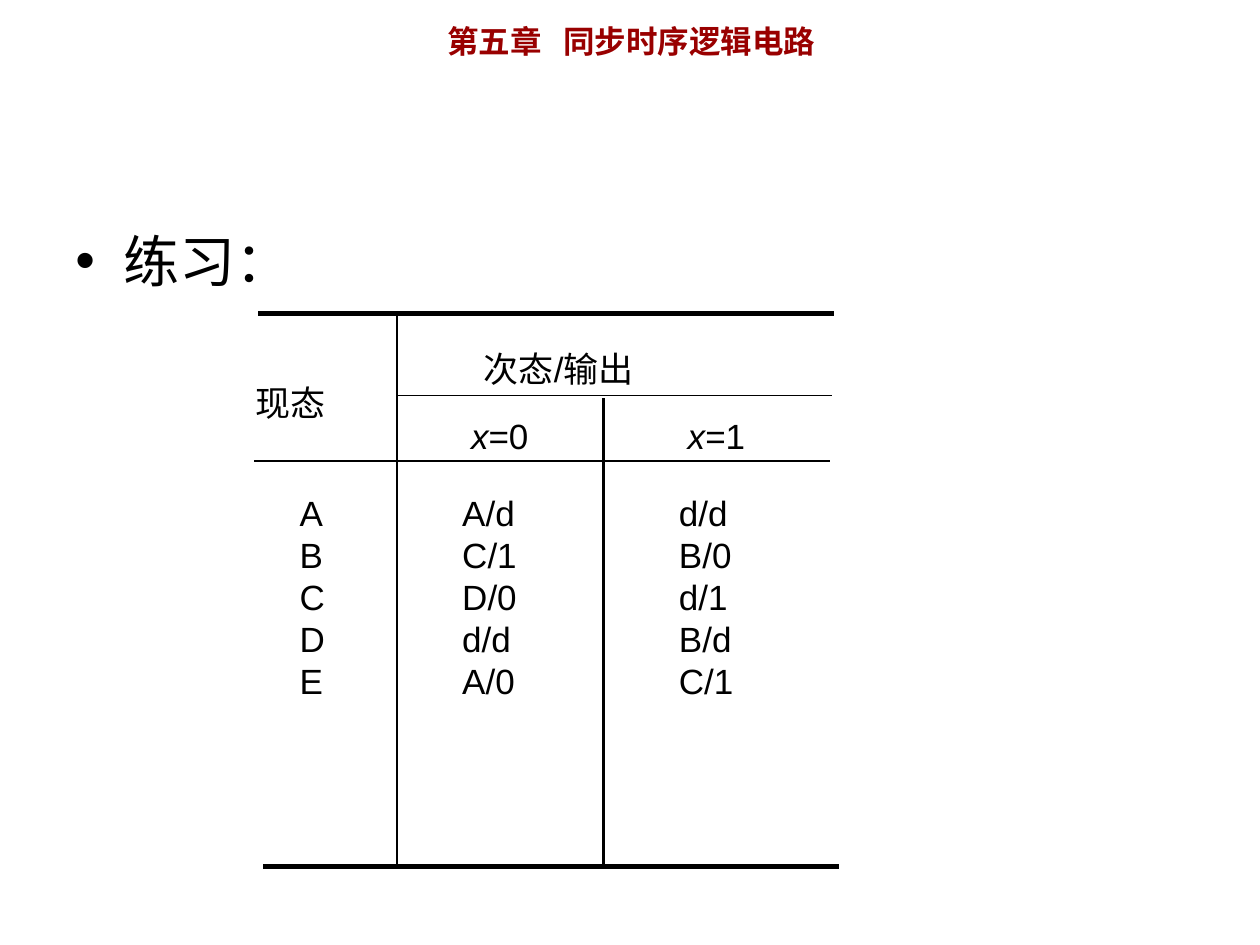
from dataclasses import dataclass

from lxml import etree
from pptx import Presentation
from pptx.dml.color import RGBColor
from pptx.enum.shapes import MSO_CONNECTOR
from pptx.enum.text import MSO_AUTO_SIZE
from pptx.oxml.ns import qn
from pptx.util import Inches, Pt

STRAIGHT = MSO_CONNECTOR.STRAIGHT
FIT, FIXED = MSO_AUTO_SIZE.SHAPE_TO_FIT_TEXT, MSO_AUTO_SIZE.NONE
INK = {"title": "990000", "black": "000000"}
HAN = "Noto Sans CJK JP"
UNIT = 0.1  # grid step in inches: the slide is 100 columns by 75 rows

# Text formats: font values and line pitch in points
TITLE = {"font": {"name": HAN, "size": Pt(18), "bold": True}, "ink": "title", "lead": 22}
BODY = {"font": {"name": "Times New Roman", "size": Pt(32)}, "ink": "black", "lead": 38.4}
CELL = {"font": {"name": "Arial", "size": Pt(20)}, "ink": "black", "lead": 24}


@dataclass
class Rule:
    x1: float
    y1: float
    x2: float
    y2: float
    width: float


@dataclass
class Label:
    col: float
    row: float
    wide: float
    high: float
    lines: list[str]
    style: dict
    lean: str = ""  # leading letters set in italics
    wrap: bool = False


def grid(cells: float) -> int:
    return Inches(cells * UNIT)


def draw_rule(slide, rule: Rule) -> None:
    line = slide.shapes.add_connector(
        STRAIGHT, *map(grid, (rule.x1, rule.y1, rule.x2, rule.y2)))
    line.line.width = Pt(rule.width)
    line.line.color.rgb = RGBColor.from_string(INK["black"])
    etree.SubElement(line._element.spPr, qn("a:effectLst"))


def add_run(para, text: str, style: dict, italic: bool) -> None:
    run = para.add_run()
    run.text = text
    for key, value in style["font"].items():
        setattr(run.font, key, value)
    run.font.italic = italic
    run.font.color.rgb = RGBColor.from_string(INK[style["ink"]])
    etree.SubElement(run._r.get_or_add_rPr(), qn("a:ea"), typeface=HAN)


def draw_label(slide, label: Label):
    box = slide.shapes.add_textbox(
        *map(grid, (label.col, label.row, label.wide, label.high)))
    frame = box.text_frame
    frame.word_wrap = label.wrap
    frame.auto_size = FIXED if label.wrap else FIT
    for i, text in enumerate(label.lines):
        para = frame.add_paragraph() if i else frame.paragraphs[0]
        para.line_spacing = Pt(label.style["lead"])
        if label.lean:
            add_run(para, label.lean, label.style, True)
        add_run(para, text, label.style, False)
    return frame.paragraphs[0]


def add_tab(para, inches: float) -> None:
    tabs = etree.SubElement(para._p.get_or_add_pPr(), qn("a:tabLst"))
    etree.SubElement(tabs, qn("a:tab"), pos=str(Inches(inches)), algn="l")


def add_bullet(para, indent: float) -> None:
    props = para._p.get_or_add_pPr()
    props.set("marL", str(Inches(indent)))
    props.set("indent", str(-Inches(indent)))
    tint = etree.SubElement(props, qn("a:buClr"))
    etree.SubElement(tint, qn("a:srgbClr"), val=INK["black"])
    etree.SubElement(props, qn("a:buFont"), typeface="Arial")
    etree.SubElement(props, qn("a:buChar"), char="•")


# State table: rules
TOP, END = 24.9, 68.8
LEFT, MID = 31.5, 47.9
SPAN = 45.7
RULES = [
    Rule(20.5, TOP, 20.5 + SPAN, TOP, 3),
    Rule(20.9, END, 20.9 + SPAN, END, 3),
    Rule(LEFT, TOP, LEFT, END, 1.5),
    Rule(MID, 31.6, MID, 69, 1.5),
    Rule(LEFT, 31.4, 66, 31.4, 1),
    Rule(20.2, 36.6, 20.2 + SPAN, 36.6, 1),
]

# State table: headings, then one column of entries per label
HEADS = [
    Label(19.3, 29.8, 7.8, 4.4, ["现态"], CELL),
    Label(37.4, 27.1, 15.2, 4.4, ["次态/输出"], CELL),
    Label(36.4, 32.4, 6.8, 4.4, ["=0"], CELL, lean="x"),
    Label(53.6, 32.4, 6.8, 4.4, ["=1"], CELL, lean="x"),
]
COLUMNS = [
    (22.8, 4.2, "A B C D E"),
    (35.7, 6.5, "A/d C/1 D/0 d/d A/0"),
    (52.9, 6.5, "d/d B/0 d/1 B/d C/1"),
]


def main() -> None:
    deck = Presentation()
    deck.slide_width, deck.slide_height = grid(100), grid(75)
    slide = deck.slides.add_slide(deck.slide_layouts[6])

    # Chapter title and exercise heading
    title = Label(34.5, 1.2, 36.8, 4, ["第五章\t同步时序逻辑电路"], TITLE, wrap=True)
    add_tab(draw_label(slide, title), 0.92)
    task = Label(5, 17.5, 90, 49.5, ["练习："], BODY, wrap=True)
    add_bullet(draw_label(slide, task), 0.38)

    # State table
    for rule in RULES:
        draw_rule(slide, rule)
    for head in HEADS:
        draw_label(slide, head)
    for col, wide, items in COLUMNS:
        draw_label(slide, Label(col, 38.5, wide, 17.7, items.split(), CELL))

    deck.save("out.pptx")


if __name__ == "__main__":
    main()
